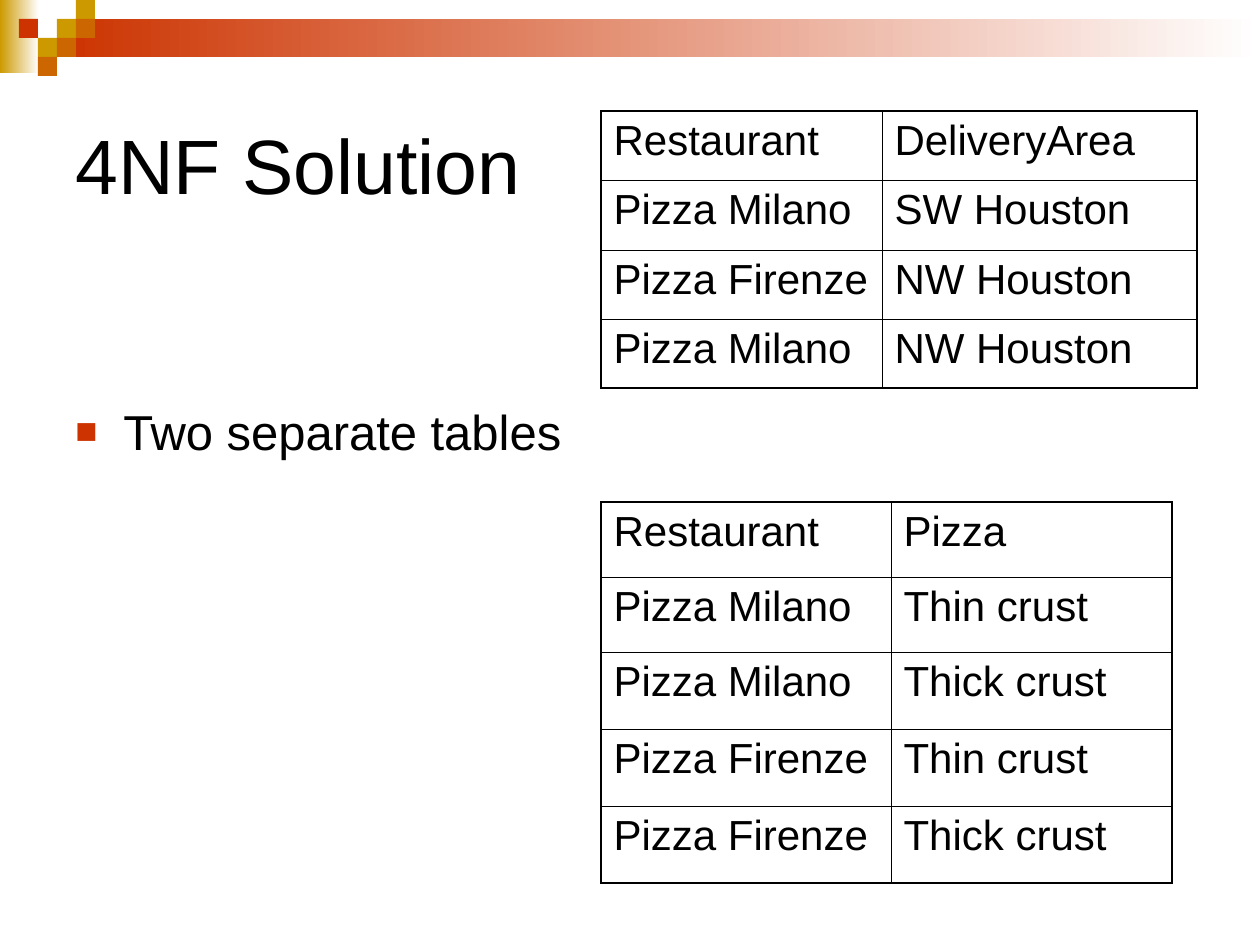
from lxml.etree import SubElement
from pptx import Presentation
from pptx.dml.color import RGBColor
from pptx.enum.shapes import MSO_SHAPE as Shape
from pptx.enum.text import MSO_ANCHOR as Anchor
from pptx.oxml import parse_xml
from pptx.oxml.ns import nsdecls, qn
from pptx.util import Emu, Pt

BLACK = RGBColor(0x00, 0x00, 0x00)
WHITE = RGBColor(0xFF, 0xFF, 0xFF)
GOLD = RGBColor(0xCC, 0x99, 0x00)
ORANGE = RGBColor(0xCC, 0x66, 0x00)
RED = RGBColor(0xCC, 0x33, 0x00)

PX_PER_INCH = 126
SQUARE = 19
OUTER_LINE, INNER_LINE = Pt(1.08), Pt(0.45)


def px(length):
    return Emu(round(length * 914400 / PX_PER_INCH))


def write(frame, text, size=24, font="Arial", color=BLACK, bullet=None, indent=0):
    paragraph = frame.paragraphs[0]
    if bullet:
        properties = paragraph._p.get_or_add_pPr()
        properties.set("marL", str(px(indent)))
        properties.set("indent", str(-px(indent)))
        bullet_color = SubElement(properties, qn("a:buClr"))
        SubElement(bullet_color, qn("a:srgbClr")).set("val", str(RED))
        SubElement(properties, qn("a:buSzPct")).set("val", "75000")
        SubElement(properties, qn("a:buFont")).set("typeface", font)
        SubElement(properties, qn("a:buChar")).set("char", bullet)
    run = paragraph.add_run()
    run.text = text
    run.font.size = Pt(size)
    run.font.name = font
    run.font.color.rgb = color


class SlideBuilder:
    def __init__(self, presentation):
        self.slide = presentation.slides.add_slide(presentation.slide_layouts[6])
        self.shapes = self.slide.shapes

    def rectangle(self, left, top, width, height, color, fade_to=None):
        shape = self.shapes.add_shape(
            Shape.RECTANGLE, px(left), px(top), px(width), px(height))
        shape.shadow.inherit = False
        shape.line.fill.background()
        if fade_to is None:
            shape.fill.solid()
            shape.fill.fore_color.rgb = color
        else:
            shape.fill.gradient()
            shape.fill.gradient_angle = 0
            for stop, stop_color in zip(shape.fill.gradient_stops, (color, fade_to)):
                stop.color.rgb = stop_color

    def text(self, left, top, width, height, text, anchor=Anchor.TOP,
             inset_top=6, **style):
        box = self.shapes.add_textbox(px(left), px(top), px(width), px(height))
        frame = box.text_frame
        frame.word_wrap = True
        frame.vertical_anchor = anchor
        frame.margin_top = px(inset_top)
        write(frame, text, **style)

    def table(self, left, top, widths, heights, rows):
        table = self.shapes.add_table(
            len(heights), len(widths), px(left), px(top),
            px(sum(widths)), px(sum(heights))).table
        table.first_row = table.horz_banding = False
        for column, width in zip(table.columns, widths):
            column.width = px(width)
        for row, height in zip(table.rows, heights):
            row.height = px(height)
        last_row, last_column = len(heights) - 1, len(widths) - 1
        for r, values in enumerate(rows):
            for c, value in enumerate(values):
                cell = table.cell(r, c)
                cell.fill.background()
                write(cell.text_frame, value)
                self.borders(cell, lnL=c == 0, lnR=c == last_column,
                             lnT=r == 0, lnB=r == last_row)

    def borders(self, cell, **outer_sides):
        properties = cell._tc.get_or_add_tcPr()
        for position, (side, outer) in enumerate(outer_sides.items()):
            width = OUTER_LINE if outer else INNER_LINE
            properties.insert(position, parse_xml(
                f'<a:{side} {nsdecls("a")} w="{width}"><a:solidFill>'
                f'<a:srgbClr val="{BLACK}"/></a:solidFill></a:{side}>'))


def main():
    presentation = Presentation()
    presentation.slide_width, presentation.slide_height = px(1260), px(945)
    builder = SlideBuilder(presentation)

    # Header band with its mosaic of squares, placed by grid column and row
    builder.rectangle(0, 0, 39, 73, GOLD, fade_to=WHITE)
    builder.rectangle(57, 19, 1203, 38, RED, fade_to=WHITE)
    mosaic = [(3, 1, GOLD), (4, 0, GOLD), (4, 1, ORANGE), (2, 2, GOLD),
              (1, 1, RED), (3, 2, ORANGE), (2, 3, ORANGE)]
    for column, row, color in mosaic:
        builder.rectangle(column * SQUARE, row * SQUARE, SQUARE, SQUARE, color)

    # Title and bullet
    builder.text(63, 63, 1134, 189, "4NF Solution", size=44,
                 anchor=Anchor.MIDDLE, inset_top=18)
    builder.text(63, 389, 1134, 83, "Two separate tables", size=28,
                 inset_top=12, bullet="■", indent=48)

    # Pizzas by restaurant
    builder.table(601, 502, [290, 281], [75, 75, 77, 77, 77], [
        ("Restaurant", "Pizza"),
        ("Pizza Milano", "Thin crust"),
        ("Pizza Milano", "Thick crust"),
        ("Pizza Firenze", "Thin crust"),
        ("Pizza Firenze", "Thick crust"),
    ])

    # Delivery areas by restaurant
    builder.table(601, 111, [281, 315], [69, 70, 69, 69], [
        ("Restaurant", "DeliveryArea"),
        ("Pizza Milano", "SW Houston"),
        ("Pizza Firenze", "NW Houston"),
        ("Pizza Milano", "NW Houston"),
    ])

    presentation.save("out.pptx")


if __name__ == "__main__":
    main()
